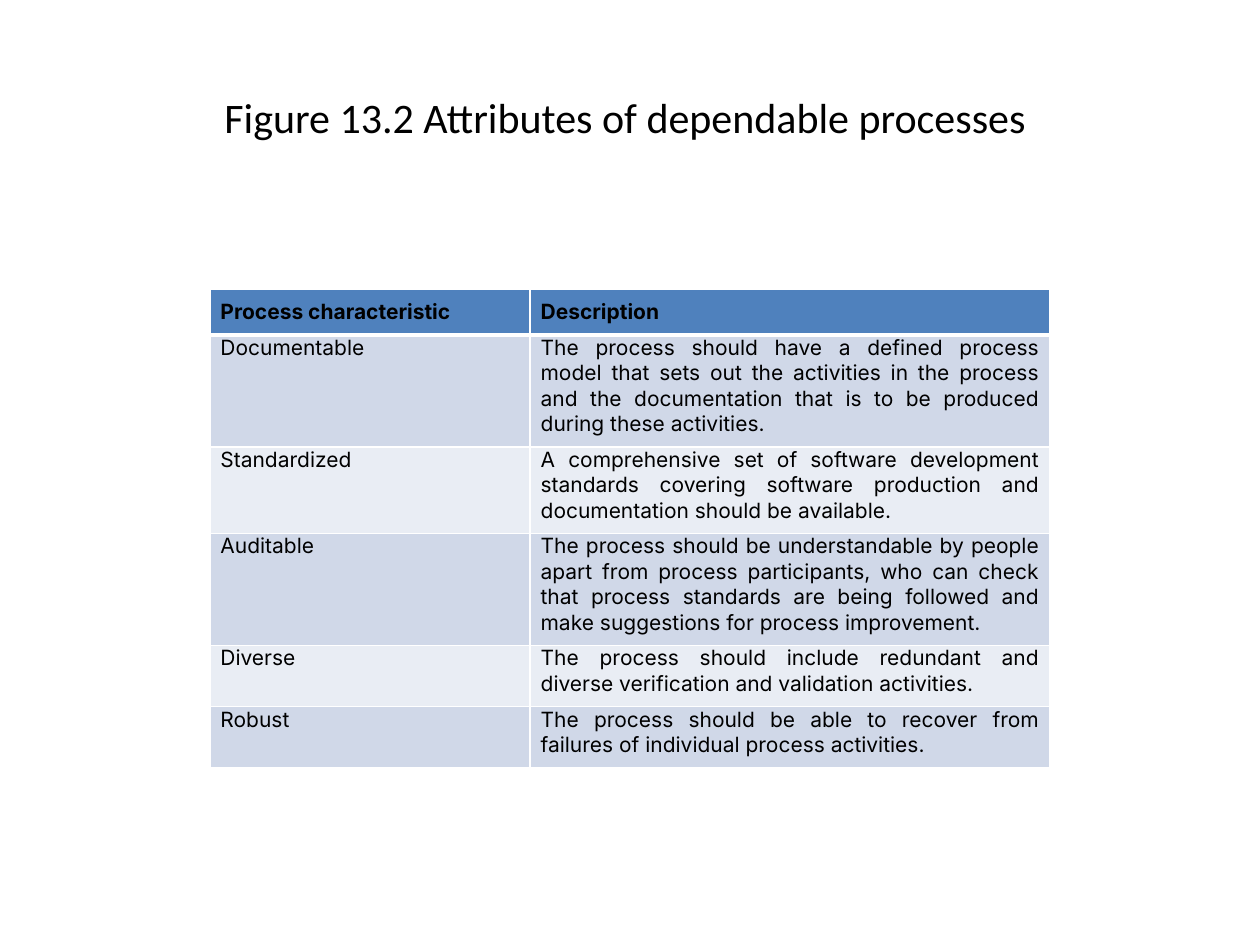
from dataclasses import dataclass

from lxml.etree import SubElement
from pptx import Presentation
from pptx.dml.color import RGBColor as RGB
from pptx.enum.text import MSO_ANCHOR as Anchor, PP_ALIGN as Align
from pptx.oxml import parse_xml
from pptx.oxml.ns import nsdecls, qn
from pptx.util import Pt


@dataclass(frozen=True)
class Theme:
    title_font: str = "Calibri"
    body_font: str = "Inter"
    title_size: float = 24
    body_size: float = 12
    text: str = "000000"
    header: str = "4F81BD"
    bands: tuple[str, str] = ("D0D8E8", "E9EDF4")
    border: str = "FFFFFF"


@dataclass(frozen=True)
class Attribute:
    name: str
    description: str
    lines: int


THEME = Theme()
COL_WIDTHS = (183, 297)
HEADER_HEIGHT, LINE_HEIGHT, PAD = 25, 14.5, 6
HEADINGS = ("Process characteristic", "Description")
ATTRIBUTES = (
    Attribute("Documentable", "The process should have a defined process model that sets out "
              "the activities in the process and the documentation that is to be produced "
              "during these activities.", 4),
    Attribute("Standardized", "A comprehensive set of software development standards covering "
              "software production and documentation should be available.", 3),
    Attribute("Auditable", "The process should be understandable by people apart from process "
              "participants, who can check that process standards are being followed and make "
              "suggestions for process improvement.", 4),
    Attribute("Diverse", "The process should include redundant and diverse verification and "
              "validation activities.", 2),
    Attribute("Robust", "The process should be able to recover from failures of individual "
              "process activities.", 2),
)


def write(tf, text: str, *, font: str = THEME.body_font, size: float = THEME.body_size,
          bold: bool = False, align=Align.JUSTIFY, before: float = 0) -> None:
    p = tf.paragraphs[0]
    p.alignment, p.space_before = align, Pt(before)
    r = p.add_run()
    r.text = text
    r.font.name, r.font.size, r.font.bold = font, Pt(size), bold
    r.font.color.rgb = RGB.from_string(THEME.text)


def set_borders(cell, bottom: float = 1) -> None:
    tc_pr = cell._tc.get_or_add_tcPr()
    for i, (side, width) in enumerate((("L", 1), ("R", 1), ("T", 1), ("B", bottom))):
        ln = parse_xml(f'<a:ln{side} {nsdecls("a")} w="{Pt(width)}"/>')
        fill = SubElement(ln, qn("a:solidFill"))
        SubElement(fill, qn("a:srgbClr"), val=THEME.border)
        tc_pr.insert(i, ln)


def fill_row(table, row: int, texts: tuple[str, str], height: float, color: str,
             *, header: bool = False) -> None:
    table.rows[row].height = Pt(height)
    for col, text in enumerate(texts):
        cell = table.cell(row, col)
        cell.margin_left = cell.margin_right = cell.margin_bottom = Pt(PAD)
        cell.margin_top = Pt(PAD if header else 0)
        cell.fill.solid()
        cell.fill.fore_color.rgb = RGB.from_string(color)
        set_borders(cell, bottom=3 if header else 1)
        write(cell.text_frame, text, bold=header, before=0 if header else 6)


prs = Presentation()
prs.slide_width, prs.slide_height = Pt(720), Pt(540)
s = prs.slides.add_slide(prs.slide_layouts[6])

# Title
tf = s.shapes.add_textbox(Pt(36), Pt(21.6), Pt(648), Pt(90)).text_frame
tf.word_wrap, tf.vertical_anchor = True, Anchor.MIDDLE
write(tf, "Figure 13.2 Attributes of dependable processes ", font=THEME.title_font,
      size=THEME.title_size, align=Align.CENTER)

# Table, with row heights that follow the number of text lines
heights = [a.lines * LINE_HEIGHT + PAD for a in ATTRIBUTES]
table = s.shapes.add_table(len(ATTRIBUTES) + 1, len(COL_WIDTHS), Pt(120), Pt(165),
                           Pt(sum(COL_WIDTHS)), Pt(HEADER_HEIGHT + sum(heights))).table
for column, width in zip(table.columns, COL_WIDTHS):
    column.width = Pt(width)
fill_row(table, 0, HEADINGS, HEADER_HEIGHT, THEME.header, header=True)
for i, (a, height) in enumerate(zip(ATTRIBUTES, heights)):
    fill_row(table, i + 1, (a.name, a.description), height, THEME.bands[i % 2])

prs.save("out.pptx")
